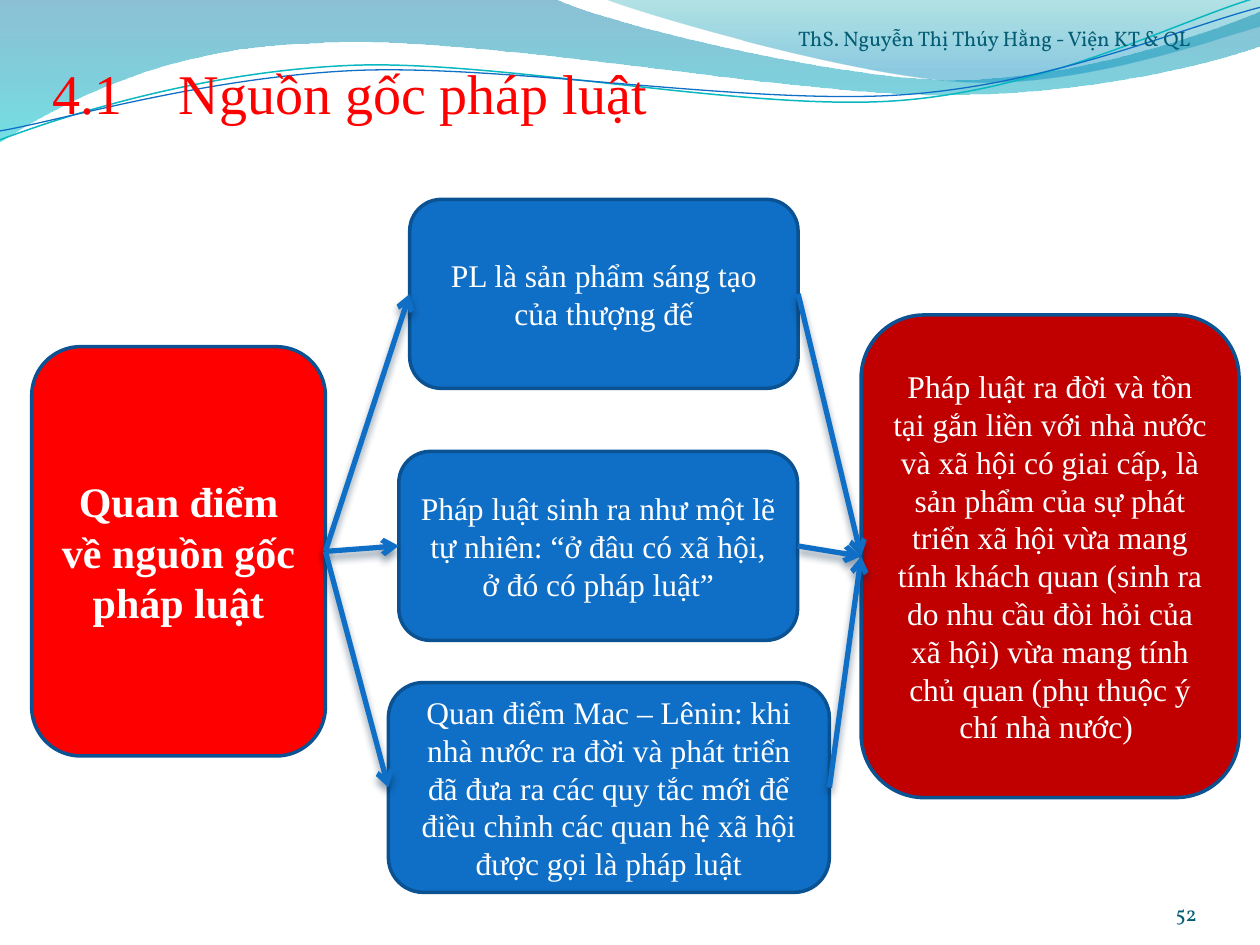
"""Build the slide on the views about the origin of law."""
from lxml import etree
from pptx import Presentation
from pptx.dml.color import RGBColor
from pptx.enum.shapes import MSO_CONNECTOR, MSO_SHAPE
from pptx.enum.text import MSO_ANCHOR, MSO_AUTO_SIZE, PP_ALIGN
from pptx.oxml.ns import qn
from pptx.util import Cm, Pt

STRAIGHT = MSO_CONNECTOR.STRAIGHT
ROUNDED = MSO_SHAPE.ROUNDED_RECTANGLE
BOTTOM, MIDDLE = MSO_ANCHOR.BOTTOM, MSO_ANCHOR.MIDDLE
NO_AUTOFIT = MSO_AUTO_SIZE.NONE
LEFT, CENTER, RIGHT = PP_ALIGN.LEFT, PP_ALIGN.CENTER, PP_ALIGN.RIGHT
LEFT_SIDE, RIGHT_SIDE = 1, 3

SERIF, FOOTER_FONT = "Times New Roman", "Vollkorn"
BLUE, DARK_BLUE, TEAL = "0F6FC6", "0B5292", "045D75"
RED, DARK_RED, WHITE = "FF0000", "C00000", "FFFFFF"
SHADOW = "042747"

TITLE = "4.1\tNguồn gốc pháp luật"
TOPIC = ("Quan điểm về nguồn gốc pháp luật", (0.64, 6.99, 5.92, 8.25))
VIEWS = [
    ("PL là sản phẩm sáng tạo của thượng đế", (8.26, 4.02, 7.83, 3.81)),
    ("Pháp luật sinh ra như một lẽ tự nhiên: “ở đâu có xã hội, ở đó có pháp luật”",
     (8.04, 9.1, 8.04, 3.81)),
    ("Quan điểm Mac – Lênin: khi nhà nước ra đời và phát triển đã đưa ra các quy tắc "
     "mới để điều chỉnh các quan hệ xã hội được gọi là pháp luật",
     (7.83, 13.76, 8.89, 4.23)),
]
CONCLUSION = (
    "Pháp luật ra đời và tồn tại gắn liền với nhà nước và xã hội có giai cấp, là sản phẩm "
    "của sự phát triển xã hội vừa mang tính khách quan (sinh ra do nhu cầu đòi hỏi của "
    "xã hội) vừa mang tính chủ quan (phụ thuộc ý chí nhà nước) ",
    (17.36, 6.35, 7.62, 9.73))
NOTES = [
    ("ThS. Nguyễn Thị Thúy Hằng - Viện KT & QL", (16.09, 0, 9.31, 1.02), LEFT),
    ("52", (22.01, 17.65, 2.12, 1.02), RIGHT),
]
BANDS = [
    ([(0, 0), (11.18, -0.03),
      (12.09, 0.43, 16.87, 1.6, 19.25, 1.6), (21.67, 1.6, 24.33, 0.66, 25.4, 0.23),
      (25.43, 0.91),
      (24.97, 1.12, 22.1, 1.93, 18.95, 1.91), (15.8, 1.91, 9.7, 0.71, 6.53, 0.86),
      (3.28, 0.91, 1.17, 2.11, -0.03, 2.87)],
     [(0, "0074A1", 45), (1, "00C6CF", 55)]),
    ([(12.17, -0.03),
      (12.93, 0.28, 17.32, 1.57, 19.53, 1.65), (21.74, 1.75, 24.41, 0.81, 25.4, 0.53),
      (25.4, 0)],
     [(0, "00A1A9", 30), (0.8, "008BBF", 45)]),
]
RIPPLES = [
    ([(0, 2.82), (1.22, 2.36, 4.01, 1.45, 7.04, 1.32),
      (10.03, 1.19, 15.06, 2.26, 18.11, 2.03), (21.16, 1.8, 23.83, 0.38, 25.35, -0.05)],
     "0AB8BF", 0.85),
    ([(0, 2.64), (1.19, 2.44, 4.17, 1.55, 7.19, 1.42),
      (10.24, 1.3, 15.16, 2.13, 18.21, 1.91), (21.23, 1.7, 23.9, 0.53, 25.4, 0.15)],
     BLUE, 0.75),
]


def rgb(code):
    """Return the colour for a hex string."""
    return RGBColor.from_string(code)


def sub(parent, tag, **attributes):
    """Append a drawing element with the given attributes."""
    return etree.SubElement(parent, qn(tag), {k: str(v) for k, v in attributes.items()})


def add_wave(slide, outline, close):
    """Draw corners and cubic segments given in centimetres."""
    start, *segments = outline
    points = [(Cm(x), Cm(y)) for segment in segments
              for x, y in zip(segment[::2], segment[1::2])]
    builder = slide.shapes.build_freeform(*map(Cm, start))
    builder.add_line_segments(points, close=close)
    wave = builder.convert_to_shape()
    wave.shadow.inherit = False
    steps = iter(list(wave._element.iter(qn("a:lnTo"))))
    for segment in segments:
        step = next(steps)
        if len(segment) == 6:
            curve = etree.Element(qn("a:cubicBezTo"))
            step.addprevious(curve)
            for control in (step, next(steps), next(steps)):
                curve.append(control[0])
                control.getparent().remove(control)
    return wave


def add_band(slide, outline, stops):
    """Draw a filled band with a translucent gradient from top to bottom."""
    band = add_wave(slide, outline, True)
    band.fill.gradient()
    band.fill.gradient_angle = 270
    for stop, (position, color, _) in zip(band.fill.gradient_stops, stops):
        stop.position = position
        stop.color.rgb = rgb(color)
    colors = band._element.spPr.iter(qn("a:srgbClr"))
    for color, (_, _, opacity) in zip(list(colors), stops):
        sub(color, "a:alpha", val=opacity * 1000)
    band.line.fill.background()


def add_ripple(slide, outline, color, width):
    """Draw an open curved line."""
    ripple = add_wave(slide, outline, False)
    ripple.fill.background()
    ripple.line.color.rgb = rgb(color)
    ripple.line.width = Pt(width)


def write(shape, text, size, color, align, anchor, font=SERIF, bold=False):
    """Set and format the text of a shape."""
    frame = shape.text_frame
    frame.text = text
    frame.word_wrap = True
    frame.auto_size = NO_AUTOFIT
    frame.vertical_anchor = anchor
    paragraph = frame.paragraphs[0]
    paragraph.alignment = align
    for run in paragraph.runs:
        run.font.name = font
        run.font.size = Pt(size)
        run.font.bold = bold
        run.font.color.rgb = rgb(color)


def clear_margins(shape):
    """Remove the inner margins of a shape."""
    frame = shape.text_frame
    frame.margin_left = frame.margin_top = frame.margin_right = frame.margin_bottom = 0


def add_box(slide, content, fill, size=18, bold=False):
    """Draw a rounded box with centred text."""
    text, place = content
    box = slide.shapes.add_shape(ROUNDED, *map(Cm, place))
    box.shadow.inherit = False
    box.fill.solid()
    box.fill.fore_color.rgb = rgb(fill)
    box.line.color.rgb = rgb(DARK_BLUE)
    box.line.width = Pt(2)
    write(box, text, size, WHITE, CENTER, MIDDLE, bold=bold)
    return box


def add_arrow(slide, source, target):
    """Join the right side of one box to the left side of another."""
    arrow = slide.shapes.add_connector(STRAIGHT, 0, 0, 0, 0)
    arrow.begin_connect(source, RIGHT_SIDE)
    arrow.end_connect(target, LEFT_SIDE)
    arrow.line.color.rgb = rgb(BLUE)
    arrow.line.width = Pt(3)
    sub(arrow.line._get_or_add_ln(), "a:tailEnd", type="arrow")
    effects = sub(arrow._element.spPr, "a:effectLst")
    shadow = sub(effects, "a:outerShdw", blurRad=Pt(4.5), dist=Pt(3), dir=5400000,
                 rotWithShape=0)
    sub(sub(shadow, "a:srgbClr", val=SHADOW), "a:alpha", val=48000)


def main():
    """Assemble and save the slide."""
    deck = Presentation()
    deck.slide_width, deck.slide_height = Cm(25.4), Cm(19.05)
    slide = deck.slides.add_slide(deck.slide_layouts[5])

    for outline, stops in BANDS:
        add_band(slide, outline, stops)
    for outline, color, width in RIPPLES:
        add_ripple(slide, outline, color, width)

    title = slide.shapes.title
    slide.shapes._spTree.append(title._element)
    title.left, title.top, title.width, title.height = map(Cm, (1.06, 0.42, 22.86, 2.12))
    clear_margins(title)
    write(title, TITLE, 32, RED, LEFT, BOTTOM)

    topic = add_box(slide, TOPIC, RED, 24, True)
    views = [add_box(slide, view, BLUE) for view in VIEWS]
    conclusion = add_box(slide, CONCLUSION, DARK_RED)
    for view in views:
        add_arrow(slide, topic, view)
    for view in views:
        add_arrow(slide, view, conclusion)

    for text, place, align in NOTES:
        note = slide.shapes.add_textbox(*map(Cm, place))
        clear_margins(note)
        write(note, text, 12, TEAL, align, BOTTOM, FOOTER_FONT)
    deck.save("out.pptx")


if __name__ == "__main__":
    main()
